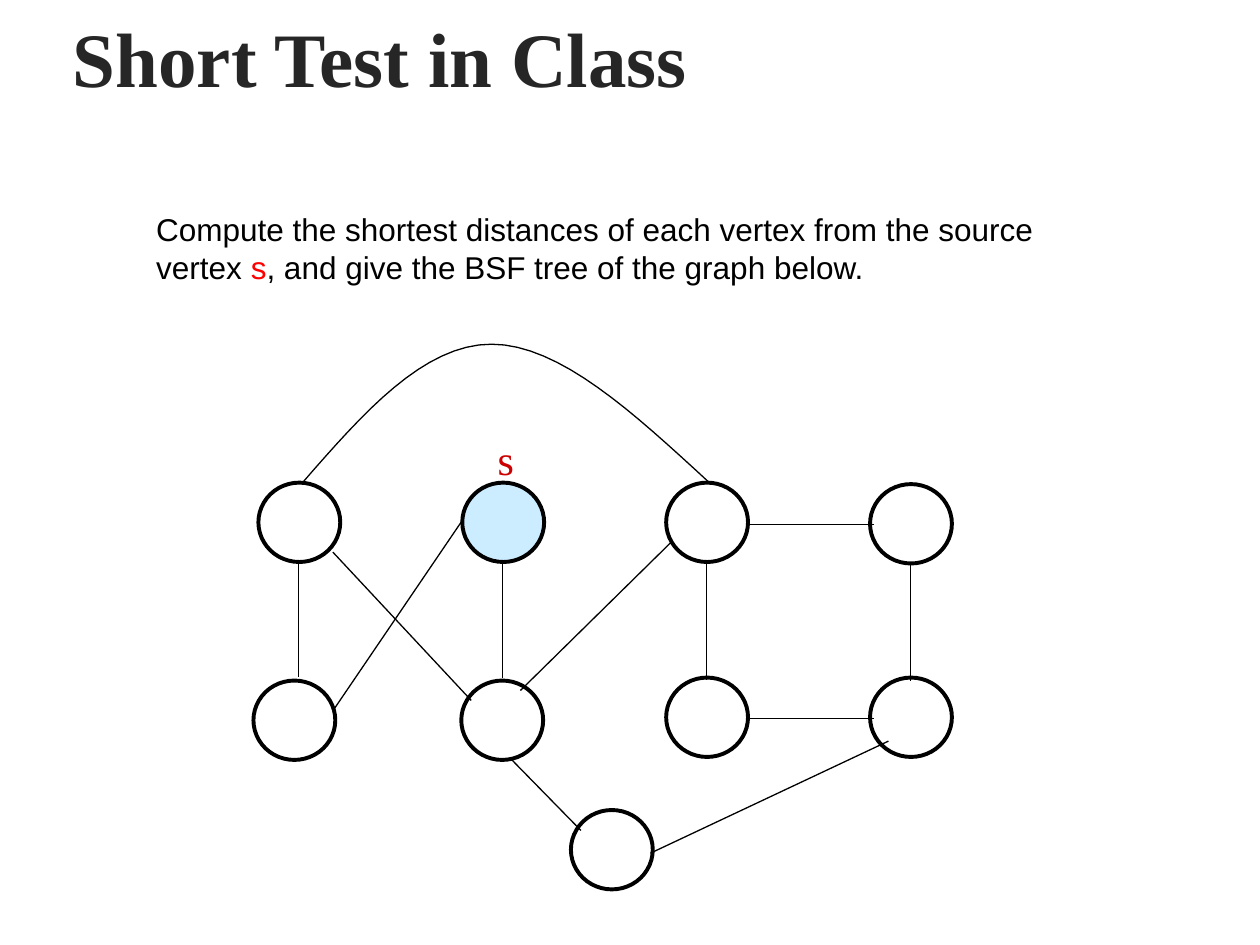
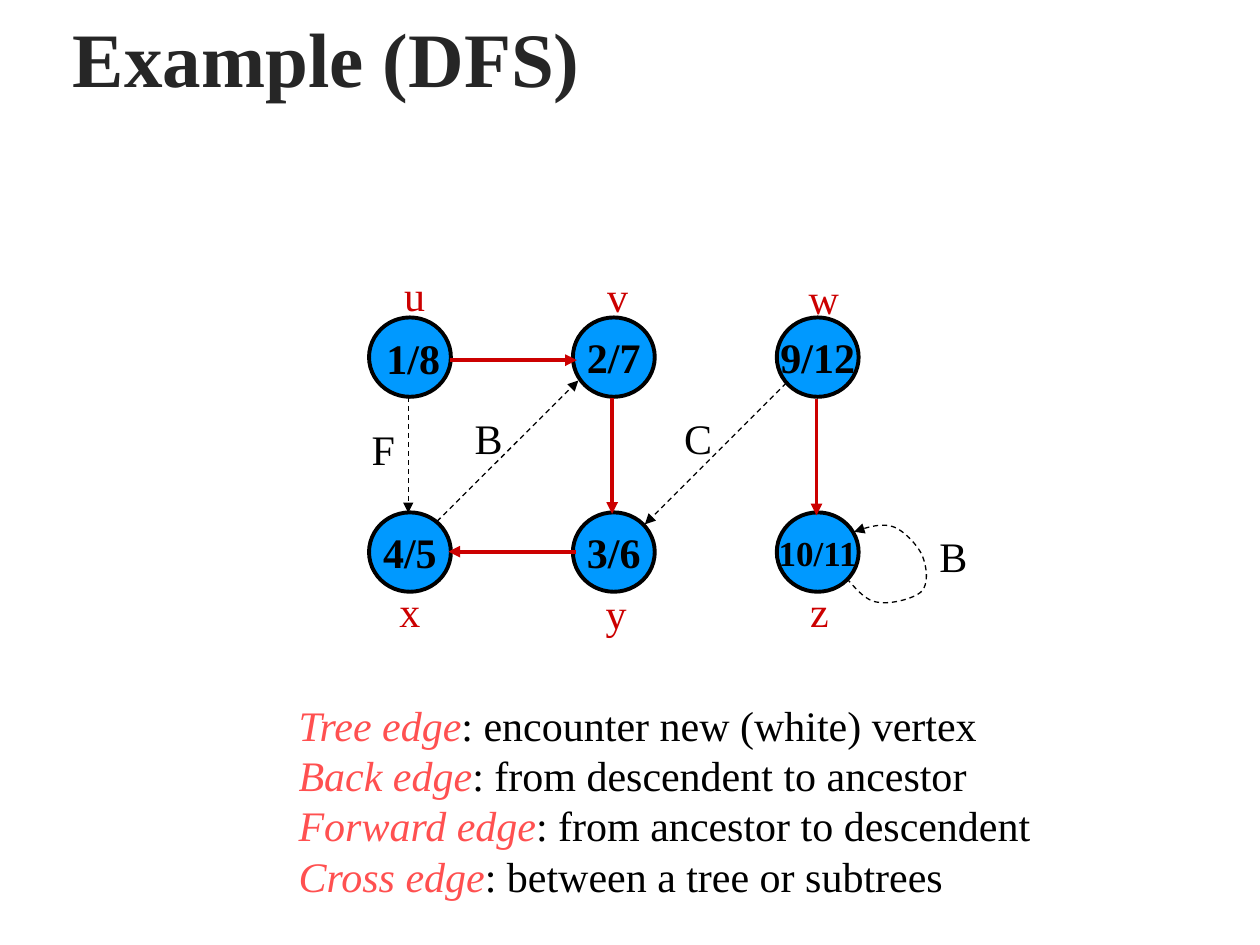
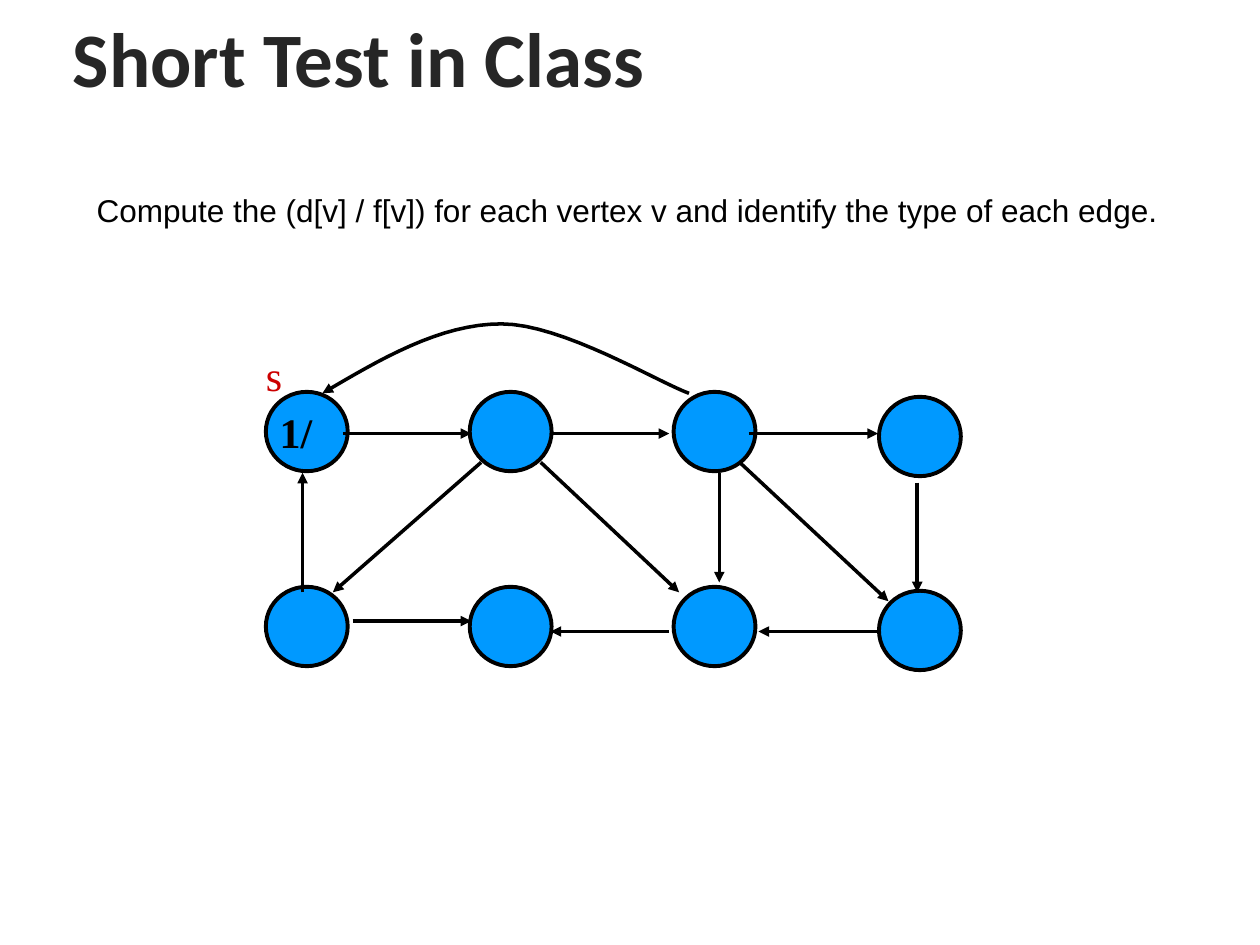
import pptx
import pptx.dml.color
import pptx.enum.dml
import pptx.enum.shapes
import pptx.enum.text
import pptx.oxml
import pptx.oxml.ns
import pptx.util

Cm = pptx.util.Cm
Pt = pptx.util.Pt

SERIF, SANS, TITLE_ALT = "Times New Roman", "Arial", "Calibri"
BLACK, TITLE_GREY = "000000", "262626"
LABEL_RED, SOURCE_RED, TERM_RED = "CC0000", "FF0000", "FF5050"
NODE_BLUE, SOURCE_BLUE = "0099FF", "CCECFF"

NODE_W, NODE_H = 1.65, 1.6
COL_GAP, ROW_GAP = 4.11, 3.93
CURVE_STEPS = 16


def rgb(value):
    return pptx.dml.color.RGBColor.from_string(value)


def style_run(r, size, color=BLACK, font=SERIF, bold=False, italic=False):
    r.font.size = Pt(size)
    r.font.name = font
    r.font.bold = bold
    r.font.italic = italic
    r.font.color.rgb = rgb(color)


def add_runs(p, parts, size, font):
    """Fill a paragraph from (text, color, italic) parts."""
    for text, color, italic in parts:
        r = p.add_run()
        r.text = text
        style_run(r, size, color, font, italic=italic)


def add_text_box(slide, box, wrap=True):
    tf = slide.shapes.add_textbox(*map(Cm, box)).text_frame
    tf.word_wrap = wrap
    return tf


def add_title(slide, text, font=SERIF):
    tf = add_text_box(slide, (1.22, 0.2, 23.34, 1.9))
    tf.vertical_anchor = pptx.enum.text.MSO_ANCHOR.MIDDLE
    tf.text = text
    style_run(tf.paragraphs[0].runs[0], 44, TITLE_GREY, font, bold=True)


def add_question(slide, box, parts):
    tf = add_text_box(slide, box)
    add_runs(tf.paragraphs[0], parts, 18, SANS)


def add_legend(slide, box, entries):
    tf = add_text_box(slide, box)
    for i, (term, meaning) in enumerate(entries):
        p = tf.add_paragraph() if i else tf.paragraphs[0]
        p.level = 1
        pPr = p._p.get_or_add_pPr()
        pPr.set("marL", str(Cm(1.27)))
        pPr.set("indent", "0")
        add_runs(p, [(term, TERM_RED, True), (": " + meaning, BLACK, False)], 24, SERIF)


def grid(cols, shifts=None):
    """Return node corners of two rows, each moved by its (col, row) shift."""
    shifts = shifts or {}
    corners = []
    for row in range(2):
        for col in range(cols):
            dx, dy = shifts.get((col, row), (0, 0))
            corners.append((col * COL_GAP + dx, row * ROW_GAP + dy))
    return corners


def add_node(slide, origin, corner, fill=None, text="", size=24):
    left, top = origin[0] + corner[0], origin[1] + corner[1]
    sp = slide.shapes.add_shape(pptx.enum.shapes.MSO_SHAPE.OVAL,
                                Cm(left), Cm(top), Cm(NODE_W), Cm(NODE_H))
    sp.shadow.inherit = False
    if fill:
        sp.fill.solid()
        sp.fill.fore_color.rgb = rgb(fill)
    else:
        sp.fill.background()
    sp.line.color.rgb = rgb(BLACK)
    sp.line.width = Pt(2.25)
    if text:
        tf = sp.text_frame
        tf.word_wrap = False
        tf.vertical_anchor = pptx.enum.text.MSO_ANCHOR.MIDDLE
        tf.text = text
        p = tf.paragraphs[0]
        p.alignment = pptx.enum.text.PP_ALIGN.CENTER
        style_run(p.runs[0], size, bold=True)


def style_edge(line, color, width, dashed, arrow):
    line.color.rgb = rgb(color)
    line.width = Pt(width)
    if dashed:
        line.dash_style = pptx.enum.dml.MSO_LINE.DASH
    if arrow:
        tail = pptx.oxml.parse_xml(
            '<a:tailEnd %s type="triangle"/>' % pptx.oxml.ns.nsdecls("a"))
        line._get_or_add_ln().append(tail)


def add_edges(slide, origin, edges, color=BLACK, width=0.75, dashed=False, arrow=True):
    """Draw straight edges given as (x1, y1, x2, y2) from the origin."""
    ox, oy = origin
    for x1, y1, x2, y2 in edges:
        cxn = slide.shapes.add_connector(
            pptx.enum.shapes.MSO_CONNECTOR.STRAIGHT,
            Cm(ox + x1), Cm(oy + y1), Cm(ox + x2), Cm(oy + y2))
        cxn._element.spPr.append(pptx.oxml.parse_xml(
            "<a:effectLst %s/>" % pptx.oxml.ns.nsdecls("a")))
        style_edge(cxn.line, color, width, dashed, arrow)


def bezier(p0, p1, p2, p3, t):
    u = 1 - t
    return tuple(u ** 3 * a + 3 * u * u * t * b + 3 * u * t * t * c + t ** 3 * d
                 for a, b, c, d in zip(p0, p1, p2, p3))


def add_curve(slide, origin, points, width=0.75, dashed=False, arrow=True):
    """Draw chained cubic curves: a start, then three points for each curve."""
    ox, oy = origin
    track = [points[0]]
    for i in range(0, len(points) - 1, 3):
        track += [bezier(*points[i:i + 4], step / CURVE_STEPS)
                  for step in range(1, CURVE_STEPS + 1)]
    track = [(Cm(ox + x), Cm(oy + y)) for x, y in track]
    builder = slide.shapes.build_freeform(*track[0])
    builder.add_line_segments(track[1:], close=False)
    sp = builder.convert_to_shape()
    sp.shadow.inherit = False
    sp.fill.background()
    style_edge(sp.line, BLACK, width, dashed, arrow)


def add_labels(slide, origin, labels, color=LABEL_RED, bold=False):
    """Write labels given as (text, x, y, width) from the origin."""
    for text, x, y, width in labels:
        tf = add_text_box(slide, (origin[0] + x, origin[1] + y, width, 1.27), wrap=False)
        tf.auto_size = pptx.enum.text.MSO_AUTO_SIZE.SHAPE_TO_FIT_TEXT
        tf.text = text
        style_run(tf.paragraphs[0].runs[0], 24, color, bold=bold)


def bfs_graph(slide, origin):
    corners = grid(4, {(3, 0): (0, 0.03), (0, 1): (-0.1, 0.06), (1, 1): (-0.02, 0.06)})
    for i, corner in enumerate(corners + [(6.3, 6.6)]):
        add_node(slide, origin, corner, SOURCE_BLUE if i == 1 else None)
    columns = [(0.81 + COL_GAP * i, 1.57 + 0.03 * i, 0.81 + COL_GAP * i, 3.91 + 0.03 * i)
               for i in range(4)]
    others = [
        (1.5, 4.6, 4.09, 0.79), (1.5, 1.4, 4.29, 4.39), (5.28, 4.19, 8.33, 1.19),
        (9.83, 0.84, 12.4, 0.84), (9.83, 4.75, 12.4, 4.75),
        (5.11, 5.59, 6.5, 7.01), (7.9, 7.47, 12.7, 5.21),
    ]
    add_edges(slide, origin, columns + others, arrow=False)
    add_curve(slide, origin, [
        (0.89, 0), (2.11, -1.4), (3.33, -2.79), (4.7, -2.79),
        (6.07, -2.79), (7.57, -1.4), (9.09, 0)], arrow=False)
    add_labels(slide, origin, [("s", 4.57, -1.12, 0.84)])


def dfs_graph(slide, origin):
    times = ["", "2/7", "9/12", "4/5", "3/6", "10/11"]
    for corner, text in zip(grid(3), times):
        add_node(slide, origin, corner, NODE_BLUE, text, 20 if len(text) > 4 else 24)
    tree_edges = [(1.63, 0.86, 4.19, 0.86), (4.9, 1.63, 4.9, 3.96),
                  (4.17, 4.72, 1.6, 4.72), (9.02, 1.65, 9.02, 3.99)]
    other_edges = [(0.79, 1.6, 0.79, 3.94), (1.37, 4.11, 4.22, 1.27),
                   (8.41, 1.32, 5.56, 4.17)]
    add_edges(slide, origin, tree_edges, LABEL_RED, 2.25)
    add_edges(slide, origin, other_edges, dashed=True)
    self_loop = [
        (9.63, 5.26), (9.83, 5.49), (10.03, 5.72), (10.26, 5.74),
        (10.52, 5.79), (11.02, 5.66), (11.15, 5.51),
        (11.3, 5.33), (11.23, 4.95), (11.13, 4.75),
        (11.02, 4.55), (10.77, 4.29), (10.57, 4.22),
        (10.34, 4.14), (10.06, 4.22), (9.78, 4.32)]
    add_curve(slide, origin, self_loop, dashed=True)
    add_labels(slide, origin, [("1/8", 0.1, 0.18, 1.6)], BLACK, bold=True)
    add_labels(slide, origin, [
        ("u", 0.46, -1.09, 0.94), ("v", 4.55, -1.07, 0.94), ("w", 8.61, -1.04, 1.12),
        ("x", 0.36, 5.28, 0.94), ("y", 4.52, 5.31, 0.94), ("z", 8.64, 5.28, 0.89)])
    add_labels(slide, origin, [
        ("B", 1.88, 1.8, 1.07), ("F", -0.2, 2.01, 0.99),
        ("C", 6.1, 1.8, 1.07), ("B", 11.25, 4.17, 1.07)], BLACK)


def dfs_test_graph(slide, origin):
    for corner in grid(4, {(3, 0): (0.03, 0.1), (3, 1): (0.03, 0.08)}):
        add_node(slide, origin, corner, NODE_BLUE)
    add_edges(slide, origin, [
        (1.55, 0.84, 4.14, 0.84), (5.74, 0.84, 8.13, 0.84), (9.73, 0.84, 12.34, 0.84),
        (0.74, 4.04, 0.74, 1.63), (9.14, 1.63, 9.14, 3.84), (13.13, 1.83, 13.13, 4.04),
        (4.34, 1.42, 1.35, 4.04), (5.54, 1.42, 8.33, 4.04), (9.55, 1.42, 12.55, 4.22),
        (1.75, 4.62, 4.14, 4.62), (8.13, 4.83, 5.74, 4.83), (12.34, 4.83, 9.93, 4.83),
    ], width=2)
    add_curve(slide, origin, [
        (8.53, 0.03), (7.9, -0.2), (5.97, -1.37), (4.75, -1.37),
        (3.51, -1.37), (2.31, -0.66), (1.14, 0.03)], width=2)
    add_labels(slide, origin, [("1/", 0.03, 0.18, 1.17)], BLACK, bold=True)
    add_labels(slide, origin, [("s", -0.25, -0.97, 0.84)])


def bfs_test_slide(slide):
    add_title(slide, "Short Test in Class")
    add_question(slide, (2.9, 4.11, 19.2, 1.78), [
        ("Compute the shortest distances of each vertex from the source vertex ", BLACK, False),
        ("s", SOURCE_RED, False),
        (", and give the BSF tree of the graph below.", BLACK, False)])
    bfs_graph(slide, (5.21, 9.73))


def dfs_example_slide(slide):
    add_title(slide, "Example (DFS)")
    dfs_graph(slide, (7.44, 6.4))
    add_legend(slide, (4.5, 13.97, 17.83, 4.37), [
        ("Tree edge", "encounter new (white) vertex"),
        ("Back edge", "from descendent to ancestor"),
        ("Forward edge", "from ancestor to descendent"),
        ("Cross edge", "between a tree or subtrees")])


def dfs_test_slide(slide):
    add_title(slide, "Short Test in Class", TITLE_ALT)
    add_question(slide, (1.7, 3.73, 23.2, 1.02), [
        ("Compute the (d[v] / f[v]) for each vertex v and identify the type of each edge.",
         BLACK, False)])
    dfs_test_graph(slide, (5.36, 7.9))


def main():
    prs = pptx.Presentation()
    prs.slide_width, prs.slide_height = Cm(25.4), Cm(19.05)
    for build in (bfs_test_slide, dfs_example_slide, dfs_test_slide):
        build(prs.slides.add_slide(prs.slide_layouts[6]))
    prs.save("out.pptx")


if __name__ == "__main__":
    main()
